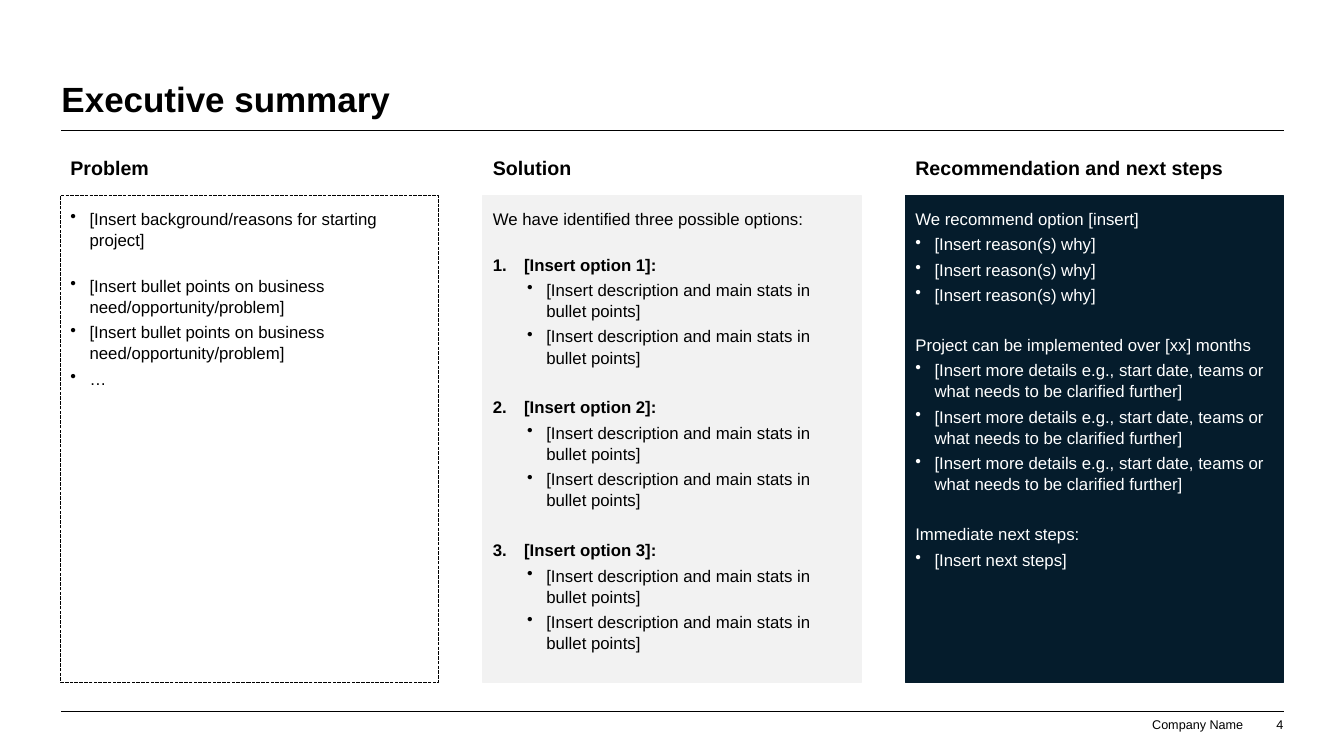
from lxml import etree
from pptx import Presentation
from pptx import util as u
from pptx.dml import color
from pptx.enum import dml, shapes, text
from pptx.oxml import ns

COLOURS = {"black": "000000", "white": "FFFFFF", "grey": "F2F2F2", "navy": "051C2C"}
LEFT, RIGHT = 0.61, 12.73
COLUMN_LEFT, COLUMN_STEP, COLUMN_WIDTH = 0.6, 4.19, 3.75
BREAK_GAP, LINE_GAP = 14.5, 17.5  # points above a paragraph that opens a group

# kind: (level, left indent, hanging indent, bullet tag, bullet attributes, bold)
BULLET = ("a:buChar", {"char": "•"})
KINDS = {
    "plain": (0, 0, 0, "a:buNone", {}, False),
    "bullet": (0, 0.19, 0.19, *BULLET, False),
    "number": (0, 0.31, 0.31, "a:buAutoNum", {"type": "arabicPeriod"}, True),
    "sub": (1, 0.53, 0.19, *BULLET, False),
}

NEED = ("bullet", "[Insert bullet points on business need/opportunity/problem]", 0)
STATS = ("sub", "[Insert description and main stats in bullet points]", 0)
REASON = ("bullet", "[Insert reason(s) why]", 0)
DETAIL = ("bullet", "[Insert more details e.g., start date, teams or "
          "what needs to be clarified further]", 0)

PROBLEM = [
    ("bullet", "[Insert background/reasons for starting project]", 0),
    (*NEED[:2], BREAK_GAP),
    NEED,
    ("bullet", "…", 0),
]
SOLUTION = [("plain", "We have identified three possible options:", 0)]
for option, gap in enumerate((BREAK_GAP, LINE_GAP, LINE_GAP), 1):
    SOLUTION += [("number", f"[Insert option {option}]:", gap), STATS, STATS]
NEXT_STEPS = [
    ("plain", "We recommend option [insert]", 0),
    *[REASON] * 3,
    ("plain", "Project can be implemented over [xx] months", LINE_GAP),
    *[DETAIL] * 3,
    ("plain", "Immediate next steps:", LINE_GAP),
    ("bullet", "[Insert next steps]", 0),
]

# heading, paragraphs, fill, line, dash, font colour
COLUMNS = [
    ("Problem", PROBLEM, None, "black", dml.MSO_LINE.SQUARE_DOT, "black"),
    ("Solution", SOLUTION, "grey", "grey", None, "black"),
    ("Recommendation and next steps", NEXT_STEPS, "navy", "navy", None, "white"),
]


def rgb(name):
    return color.RGBColor.from_string(COLOURS[name])


def set_all(target, values):
    for name, value in values.items():
        setattr(target, name, value)


def set_frame(frame, margins, anchor):
    sides = ("margin_left", "margin_top", "margin_right", "margin_bottom")
    set_all(frame, dict(zip(sides, map(u.Inches, margins))))
    set_all(frame, {"word_wrap": True, "vertical_anchor": anchor})


def add_span(para, words, size, bold, colour):
    span = para.add_run()
    span.text = words
    set_all(span.font, {"name": "Arial", "size": u.Pt(size), "bold": bold})
    span.font.color.rgb = rgb(colour)


def add_label(page, place, words, size, bold=False, margins=(0, 0, 0, 0),
              anchor=text.MSO_ANCHOR.BOTTOM, align=text.PP_ALIGN.LEFT):
    box = page.shapes.add_textbox(*map(u.Inches, place))
    set_frame(box.text_frame, margins, anchor)
    para = box.text_frame.paragraphs[0]
    para.alignment = align
    add_span(para, words, size, bold, "black")


def add_rule(page, top):
    rule = page.shapes.add_connector(
        shapes.MSO_CONNECTOR.STRAIGHT,
        *map(u.Inches, (LEFT, top, RIGHT, top)))
    rule.line.width = u.Pt(0.5)
    rule.line.color.rgb = rgb("black")
    etree.SubElement(rule._element.spPr, ns.qn("a:effectLst"))


def format_list(para, kind, gap):
    level, indent, hanging, tag, attributes, _ = KINDS[kind]
    set_all(para, {
        "level": level,
        "alignment": text.PP_ALIGN.LEFT,
        "line_spacing": 1.05,
        "space_before": u.Pt(gap),
        "space_after": u.Pt(3),
    })
    properties = para._p.get_or_add_pPr()
    properties.set("marL", str(u.Inches(indent)))
    properties.set("indent", str(-u.Inches(hanging)))
    etree.SubElement(properties, ns.qn(tag), attributes)


def add_panel(page, left, paragraphs, fill, line, dash, font_colour):
    panel = page.shapes.add_shape(
        shapes.MSO_SHAPE.RECTANGLE,
        *map(u.Inches, (left, 1.94, COLUMN_WIDTH, 4.83)))
    panel.shadow.inherit = False
    if fill:
        panel.fill.solid()
        panel.fill.fore_color.rgb = rgb(fill)
    else:
        panel.fill.background()
    panel.line.color.rgb = rgb(line)
    set_all(panel.line, {"width": u.Pt(0.85), "dash_style": dash})
    frame = panel.text_frame
    set_frame(frame, (0.1, 0.12, 0.1, 0.05), text.MSO_ANCHOR.TOP)
    for index, (kind, words, gap) in enumerate(paragraphs):
        para = frame.add_paragraph() if index else frame.paragraphs[0]
        format_list(para, kind, gap)
        add_span(para, words, 12, KINDS[kind][-1], font_colour)


def main():
    deck = Presentation()
    set_all(deck, {"slide_width": u.Inches(13.33), "slide_height": u.Inches(7.5)})
    page = deck.slides.add_slide(deck.slide_layouts[6])

    add_label(page, (LEFT, 0.39, RIGHT - LEFT, 0.8), "Executive summary", 25, True)
    for top in (1.29, 7.06):
        add_rule(page, top)
    for index, (heading, *panel) in enumerate(COLUMNS):
        left = COLUMN_LEFT + index * COLUMN_STEP
        add_label(page, (left, 1.5, COLUMN_WIDTH, 0.34), heading, 14, True,
                  (0.1, 0.05, 0.1, 0.05), text.MSO_ANCHOR.TOP)
        add_panel(page, left, *panel)
    for left, width, words in ((11.42, 0.91, "Company Name"), (12.37, 0.36, "4")):
        add_label(page, (left, 7.11, width, 0.15), words, 9,
                  align=text.PP_ALIGN.RIGHT)

    deck.save("out.pptx")


if __name__ == "__main__":
    main()
